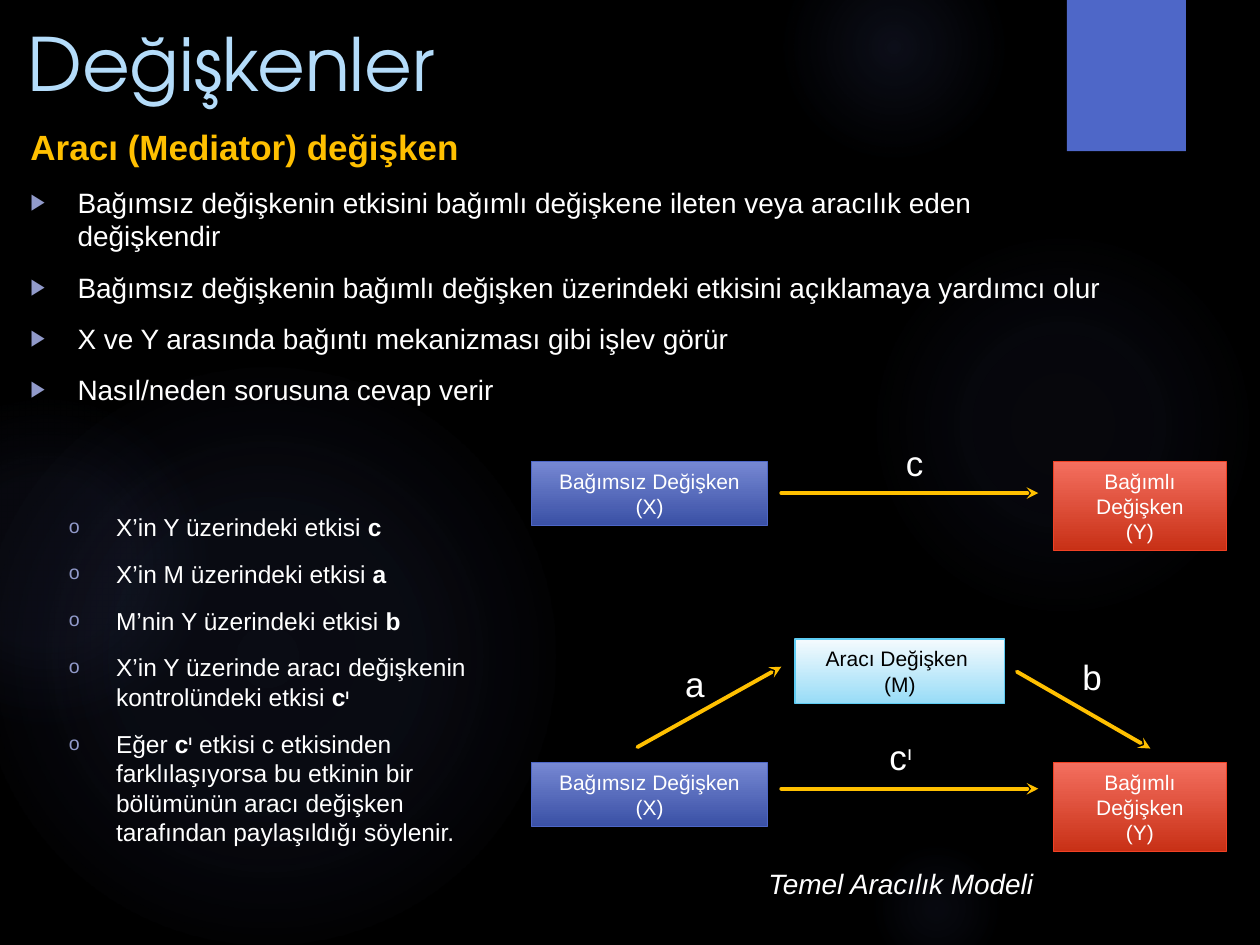
from lxml import etree
from pptx import Presentation
from pptx.dml.color import RGBColor
from pptx.enum.shapes import MSO_CONNECTOR, MSO_SHAPE
from pptx.enum.text import MSO_ANCHOR, PP_ALIGN
from pptx.oxml import parse_xml
from pptx.oxml.ns import nsdecls, qn
from pptx.util import Cm, Pt

RECTANGLE, ELLIPSE = MSO_SHAPE.RECTANGLE, MSO_SHAPE.OVAL
STRAIGHT = MSO_CONNECTOR.STRAIGHT
LEFT, CENTER = PP_ALIGN.LEFT, PP_ALIGN.CENTER
TOP, MIDDLE = MSO_ANCHOR.TOP, MSO_ANCHOR.MIDDLE

COLORS = {
    "background": "000000", "glow": "5968B0", "ribbon": "4E67C8",
    "title": "B4DCFA", "accent": "FFC000", "text": "FFFFFF",
    "dark_text": "000000", "bullet": "919ACA",
}
INDEPENDENT = ("7688D3", "3A50A5", "4E67C8")
DEPENDENT = ("F46F5F", "C83016", "F14124")
MEDIATOR = ("F5FBFE", "98DCF7", "5ECCF3")

GLOWS = [
    (17.5, 4.65, 7.82, [(0, 7), (36, 6), (69, 0)]),
    (15.8, -1.27, 4.45, [(0, 14), (36, 7), (73, 0)]),
    (17.5, 16.94, 2.74, [(0, 9), (36, 5), (66, 0)]),
    (-0.43, 7.42, 11.63, [(0, 11), (36, 10), (75, 0)]),
    (-2.34, 8.05, 6.55, [(0, 8), (36, 8), (72, 0)]),
]
HEADING = "Aracı (Mediator) değişken"
FEATURES = [
    "Bağımsız değişkenin etkisini bağımlı değişkene ileten veya aracılık eden değişkendir",
    "Bağımsız değişkenin bağımlı değişken üzerindeki etkisini açıklamaya yardımcı olur",
    "X ve Y arasında bağıntı mekanizması gibi işlev görür",
    "Nasıl/neden sorusuna cevap verir",
]
C_PRIME = [("c", "bold"), ("ı", "bold super")]
EFFECTS = [
    [("X’in Y üzerindeki etkisi ", ""), ("c", "bold")],
    [("X’in M üzerindeki etkisi ", ""), ("a", "bold")],
    [("M’nin Y üzerindeki etkisi ", ""), ("b", "bold")],
    [("X’in Y üzerinde aracı değişkenin kontrolündeki etkisi ", "")] + C_PRIME,
    [("Eğer ", "")] + C_PRIME
    + [(" etkisi c etkisinden farklılaşıyorsa bu etkinin bir bölümünün "
        "aracı değişken tarafından paylaşıldığı söylenir.", "")],
]


def rgb(name):
    return RGBColor.from_string(COLORS.get(name, name))


def place(shape, box):
    shape.left, shape.top, shape.width, shape.height = map(Cm, box)


def set_font(paragraph, size, color="text", face="Arial", bold=False, italic=False):
    font = paragraph.font
    font.size, font.name, font.bold, font.italic = Pt(size), face, bold, italic
    font.color.rgb = rgb(color)


def add_runs(paragraph, pieces):
    for words, style in pieces:
        run = paragraph.add_run()
        run.text = words
        if "bold" in style:
            run.font.bold = True
        if "super" in style:
            run._r.get_or_add_rPr().set("baseline", "30000")


def set_bullet(paragraph, char=None):
    properties = paragraph._p.get_or_add_pPr()
    indent = Cm(0.95) if char else 0
    properties.set("marL", str(indent))
    properties.set("indent", str(-indent))
    if not char:
        etree.SubElement(properties, qn("a:buNone"))
        return
    color = etree.SubElement(properties, qn("a:buClr"))
    etree.SubElement(color, qn("a:srgbClr"), val=COLORS["bullet"])
    etree.SubElement(properties, qn("a:buSzPct"), val="80000")
    etree.SubElement(properties, qn("a:buFont"), typeface="Arial")
    etree.SubElement(properties, qn("a:buChar"), char=char)


def add_backdrop(slide):
    slide.background.fill.solid()
    slide.background.fill.fore_color.rgb = rgb("background")
    title = slide.shapes.title
    for left, top, size, stops in GLOWS:
        glow = slide.shapes.add_shape(ELLIPSE, *map(Cm, (left, top, size, size)))
        glow.shadow.inherit = False
        glow.line.fill.background()
        stop_xml = "".join(
            f'<a:gs pos="{position * 1000}"><a:srgbClr val="{COLORS["glow"]}">'
            f'<a:alpha val="{alpha * 1000}"/></a:srgbClr></a:gs>'
            for position, alpha in stops)
        gradient = parse_xml(
            f'<a:gradFill {nsdecls("a")}><a:gsLst>{stop_xml}</a:gsLst><a:path path="circle">'
            '<a:fillToRect l="50000" t="50000" r="50000" b="50000"/></a:path></a:gradFill>')
        glow.element.spPr.find(qn("a:prstGeom")).addnext(gradient)
        title.element.addprevious(glow.element)
    ribbon = slide.shapes.add_shape(RECTANGLE, Cm(21.51), 0, Cm(2.4), Cm(3.05))
    ribbon.shadow.inherit = False
    ribbon.fill.solid()
    ribbon.fill.fore_color.rgb = rgb("ribbon")
    ribbon.line.fill.background()
    title.element.addprevious(ribbon.element)


def fill_title(slide, box):
    title = slide.shapes.title
    place(title, box)
    title.text_frame.text = "Değişkenler"
    title.text_frame.vertical_anchor = MIDDLE
    heading = title.text_frame.paragraphs[0]
    heading.alignment = LEFT
    set_font(heading, 42, "title", "TeX Gyre Adventor")


def fill_features(slide, box):
    body = slide.placeholders[1]
    place(body, box)
    frame = body.text_frame
    frame.vertical_anchor = TOP
    frame.text = "\n".join([HEADING] + FEATURES)
    heading, *features = frame.paragraphs
    set_bullet(heading)
    heading.space_before = Pt(0)
    set_font(heading, 20, "accent", bold=True)
    for feature in features:
        set_bullet(feature, "▶")
        feature.space_before = Pt(10)
        set_font(feature, 16)


def add_effects(slide, box):
    frame = slide.shapes.add_textbox(*map(Cm, box)).text_frame
    frame.word_wrap = True
    for index, pieces in enumerate(EFFECTS):
        effect = frame.add_paragraph() if index else frame.paragraphs[0]
        set_bullet(effect, "o")
        effect.space_before = Pt(10 if index else 0)
        set_font(effect, 14)
        add_runs(effect, pieces)


def add_variable(slide, box, words, palette, color="text"):
    start, end, border = palette
    variable = slide.shapes.add_shape(RECTANGLE, *map(Cm, box))
    variable.shadow.inherit = False
    variable.fill.gradient()
    variable.fill.gradient_angle = 270
    for stop, shade in zip(variable.fill.gradient_stops, (start, end)):
        stop.color.rgb = rgb(shade)
    variable.line.color.rgb = rgb(border)
    variable.line.width = Pt(0.75)
    variable.text_frame.text = words
    for paragraph in variable.text_frame.paragraphs:
        paragraph.alignment = CENTER
        set_font(paragraph, 12, color)


def add_arrow(slide, *ends):
    arrow = slide.shapes.add_connector(STRAIGHT, *map(Cm, ends))
    arrow.line.color.rgb = rgb("accent")
    arrow.line.width = Pt(2.25)
    properties = arrow.element.spPr
    outline = properties.find(qn("a:ln"))
    outline.set("cap", "rnd")
    etree.SubElement(outline, qn("a:tailEnd"), type="stealth")
    etree.SubElement(properties, qn("a:effectLst"))


def add_label(slide, box, pieces, size=20, italic=False):
    label = slide.shapes.add_textbox(*map(Cm, box)).text_frame.paragraphs[0]
    set_font(label, size, italic=italic)
    add_runs(label, pieces)


def add_direct_path(slide, left, top, arrow_drop):
    add_variable(slide, (left, top, 4.75, 1.3), "Bağımsız Değişken\n(X)", INDEPENDENT)
    add_variable(slide, (left + 10.52, top, 3.48, 1.8), "Bağımlı Değişken\n(Y)", DEPENDENT)
    arrow_y = top + arrow_drop
    add_arrow(slide, left + 5.03, arrow_y, left + 10.21, arrow_y)


def add_total_effect(slide, left, top):
    add_direct_path(slide, left, top, 0.64)
    add_label(slide, (left + 7.29, top - 0.53, 0.86, 1.12), [("c", "")])


def add_mediation(slide, left, top):
    add_direct_path(slide, left, top + 2.49, 0.53)
    add_variable(slide, (left + 5.31, top, 4.22, 1.3), "Aracı Değişken \n(M)",
                 MEDIATOR, "dark_text")
    add_arrow(slide, left + 2.13, top + 2.18, left + 5.03, top + 0.56)
    add_arrow(slide, left + 9.78, top + 0.66, left + 12.47, top + 2.21)
    add_label(slide, (left + 2.84, top + 0.36, 0.91, 1.12), [("a", "")])
    add_label(slide, (left + 10.85, top + 0.2, 0.91, 1.12), [("b", "")])
    add_label(slide, (left + 6.96, top + 1.83, 0.99, 1.12), [("c", ""), ("ı", "super")])
    add_label(slide, (left + 4.52, top + 4.47, 5.92, 0.94),
              [("Temel Aracılık Modeli", "")], 16, italic=True)


def main():
    deck = Presentation()
    deck.slide_width, deck.slide_height = Cm(25.4), Cm(19.05)
    slide = deck.slides.add_slide(deck.slide_layouts[1])
    add_backdrop(slide)
    fill_title(slide, (0.3, 0.33, 19.61, 1.85))
    fill_features(slide, (0.36, 2.41, 22.4, 5.59))
    add_effects(slide, (1.14, 10.19, 8.61, 7.37))
    add_total_effect(slide, 10.72, 9.3)
    add_mediation(slide, 10.72, 12.88)
    deck.save("out.pptx")


if __name__ == "__main__":
    main()
